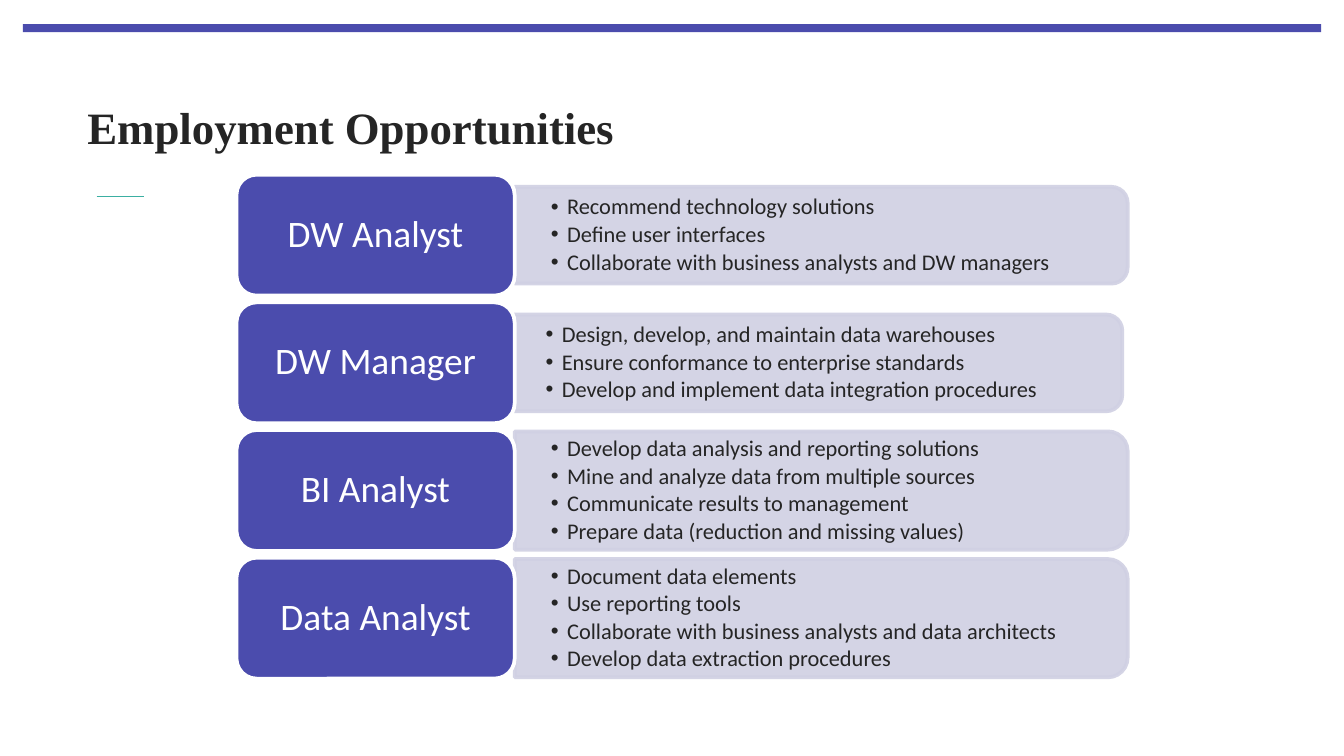
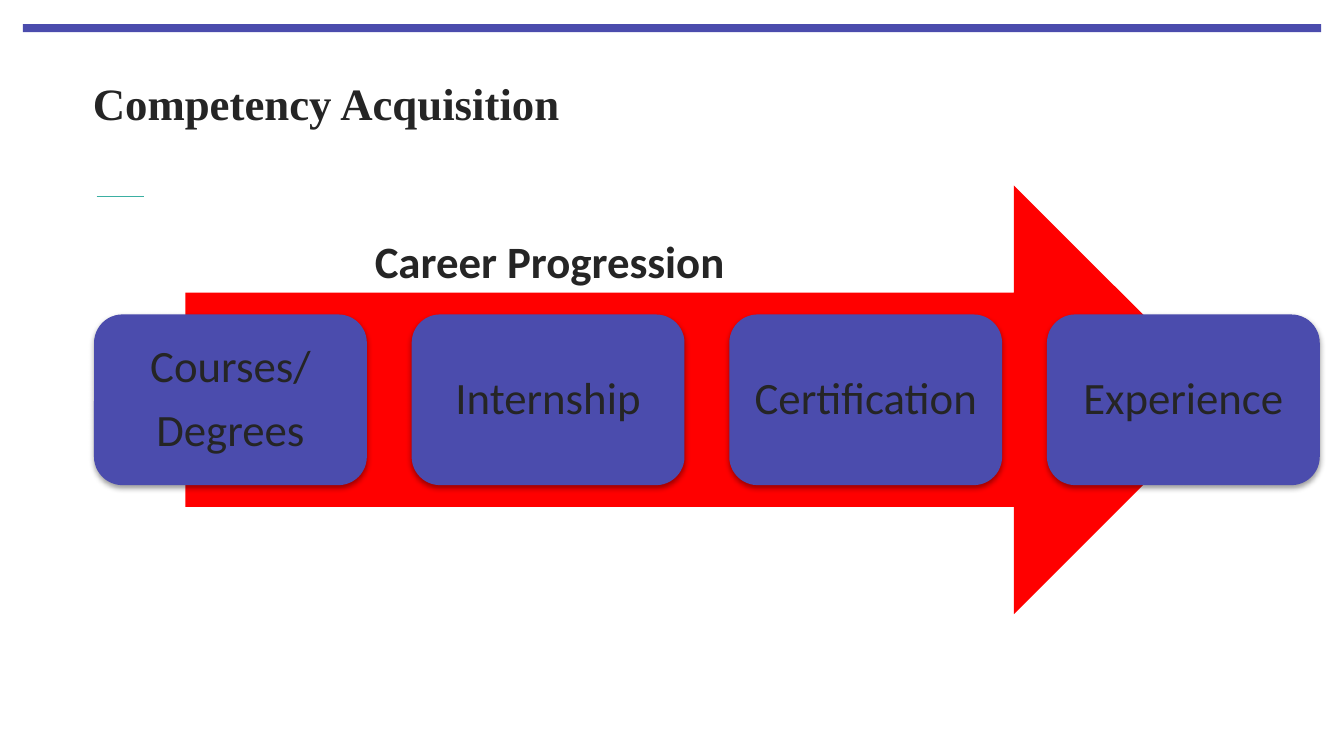
from dataclasses import dataclass

from lxml.etree import SubElement
from pptx import Presentation
from pptx.dml.color import RGBColor
from pptx.enum.shapes import MSO_CONNECTOR, MSO_SHAPE
from pptx.enum.text import MSO_ANCHOR, MSO_AUTO_SIZE, PP_ALIGN
from pptx.oxml.ns import qn
from pptx.shapes.autoshape import Shape
from pptx.slide import Slide
from pptx.text.text import TextFrame
from pptx.util import Emu, Inches, Pt

COLORS = {
    "violet": "4B4CAD",
    "lavender": "D0D0E3",
    "teal": "3BAFA2",
    "red": "FF0000",
    "ink": "252525",
    "white": "FFFFFF",
    "black": "000000",
}
TITLE_FONT = "Times New Roman"
BODY_FONT = "Calibri"

ROW_TOP, ROW_PITCH = 1.3, 0.95
ROLE_LEFT, ROLE_WIDTH, ROLE_HEIGHT = 1.76, 2.07, 0.9
DUTY_WIDTH = 4.56
STAGE_LEFT, STAGE_RIGHT, STAGE_WIDTH = 0.7, 9.82, 2.03


@dataclass(frozen=True)
class Frame:
    """Hold a rectangle in inches."""

    left: float
    top: float
    width: float
    height: float

    def lengths(self) -> tuple[Emu, ...]:
        """Give the rectangle as slide lengths."""
        return tuple(Inches(n) for n in (self.left, self.top, self.width, self.height))


@dataclass(frozen=True)
class TextStyle:
    """Describe how the paragraphs of one box look."""

    size: float
    color: str = "ink"
    font: str = BODY_FONT
    bold: bool = False
    align: PP_ALIGN = PP_ALIGN.LEFT
    spacing: float = 1.0
    after: float = 0
    bullet: bool = False


@dataclass(frozen=True)
class Role:
    """Describe one job with its duties."""

    name: str
    duties: tuple[str, ...]
    panel_left: float = 3.83


TITLE = TextStyle(24, font=TITLE_FONT, bold=True)
LABEL = TextStyle(24, bold=True)
DUTY = TextStyle(12, spacing=0.9, after=1.8, bullet=True)
ROLE = TextStyle(20, color="white", align=PP_ALIGN.CENTER, spacing=0.9)
STAGE = TextStyle(24, align=PP_ALIGN.CENTER, spacing=0.9, after=8.4)

ROLES = (
    Role("DW Analyst", (
        "Recommend technology solutions",
        "Define user interfaces",
        "Collaborate with business analysts and DW managers",
    )),
    Role("DW Manager", (
        "Design, develop, and maintain data warehouses",
        "Ensure conformance to enterprise standards",
        "Develop and implement data integration procedures",
    ), panel_left=3.79),
    Role("BI Analyst", (
        "Develop data analysis and reporting solutions",
        "Mine and analyze data from multiple sources",
        "Communicate results to management",
        "Prepare data (reduction and missing values)",
    )),
    Role("Data Analyst", (
        "Document data elements",
        "Use reporting tools",
        "Collaborate with business analysts and data architects",
        "Develop data extraction procedures",
    )),
)
STAGES = (("Courses/", "Degrees"), ("Internship",), ("Certification",), ("Experience",))


def rgb(name: str) -> RGBColor:
    """Look up a palette colour."""
    return RGBColor.from_string(COLORS[name])


def write(text: TextFrame, lines: tuple[str, ...], style: TextStyle,
          inset: tuple[float, float] = (0, 0)) -> None:
    """Fill a text frame with one styled paragraph per line."""
    text.word_wrap = True
    text.auto_size = MSO_AUTO_SIZE.NONE
    text.vertical_anchor = MSO_ANCHOR.MIDDLE
    text.margin_left = text.margin_right = Inches(inset[0])
    text.margin_top = text.margin_bottom = Inches(inset[1])
    for index, line in enumerate(lines):
        para = text.add_paragraph() if index else text.paragraphs[0]
        para.alignment = style.align
        para.line_spacing = style.spacing
        para.space_after = Pt(style.after)
        if style.bullet:
            properties = para._p.get_or_add_pPr()
            properties.set("marL", str(Inches(0.12)))
            properties.set("indent", str(-Inches(0.12)))
            SubElement(properties, qn("a:buFont"), typeface="Arial")
            SubElement(properties, qn("a:buChar"), char="•")
        span = para.add_run()
        span.text = line
        span.font.name = style.font
        span.font.size = Pt(style.size)
        span.font.bold = style.bold
        span.font.color.rgb = rgb(style.color)


def add_box(page: Slide, kind: MSO_SHAPE, frame: Frame, fill: str,
            line: str | None = None) -> Shape:
    """Draw a flat preset shape with an optional outline."""
    box = page.shapes.add_shape(kind, *frame.lengths())
    box.shadow.inherit = False
    box.fill.solid()
    box.fill.fore_color.rgb = rgb(fill)
    if line:
        box.line.color.rgb = rgb(line)
        box.line.width = Pt(2)
    else:
        box.line.fill.background()
    return box


def add_text(page: Slide, frame: Frame, lines: tuple[str, ...], style: TextStyle,
             inset: tuple[float, float]) -> None:
    """Place a plain text box."""
    write(page.shapes.add_textbox(*frame.lengths()).text_frame, lines, style, inset)


def make_translucent(box: Shape, percent: int) -> None:
    """Set the opacity of a shape's fill and outline."""
    for color in box._element.spPr.iter(qn("a:srgbClr")):
        SubElement(color, qn("a:alpha"), val=str(percent * 1000))


def drop_shadow(box: Shape) -> None:
    """Give a shape a soft shadow below it."""
    effects = box._element.spPr.find(qn("a:effectLst"))
    shadow = SubElement(effects, qn("a:outerShdw"), blurRad=str(Pt(3.1)),
                        dist=str(Pt(1.6)), dir="5400000", rotWithShape="0")
    color = SubElement(shadow, qn("a:srgbClr"), val=COLORS["black"])
    SubElement(color, qn("a:alpha"), val="38000")


def add_page(deck: Presentation, title: str, frame: Frame) -> Slide:
    """Start a slide with the shared band, accent rule and title."""
    page = deck.slides.add_slide(deck.slide_layouts.get_by_name("Title Only"))
    add_box(page, MSO_SHAPE.RECTANGLE, Frame(0.17, 0.18, 9.66, 0.06), "violet")
    rule = page.shapes.add_connector(MSO_CONNECTOR.STRAIGHT, Inches(0.72), Inches(1.46),
                                     Inches(1.07), Inches(1.46))
    rule.line.color.rgb = rgb("teal")
    rule.line.width = Pt(0.5)
    SubElement(rule._element.spPr, qn("a:effectLst"))
    heading = page.shapes.title
    heading.left, heading.top, heading.width, heading.height = frame.lengths()
    write(heading.text_frame, (title,), TITLE)
    return page


def add_role(page: Slide, role: Role, top: float) -> None:
    """Draw a role box with its panel of duties."""
    middle = top + ROLE_HEIGHT / 2
    height = 0.72 if len(role.duties) == 3 else 0.88
    upright = Frame(role.panel_left + (DUTY_WIDTH - height) / 2, middle - DUTY_WIDTH / 2,
                    height, DUTY_WIDTH)
    panel = add_box(page, MSO_SHAPE.ROUND_2_SAME_RECTANGLE, upright, "lavender", "lavender")
    panel.rotation = 90
    make_translucent(panel, 90)
    add_text(page, Frame(role.panel_left, middle - height / 2, DUTY_WIDTH, height),
             role.duties, DUTY, (0.27, 0))
    box = add_box(page, MSO_SHAPE.ROUNDED_RECTANGLE,
                  Frame(ROLE_LEFT, top, ROLE_WIDTH, ROLE_HEIGHT), "violet", "white")
    write(box.text_frame, (role.name,), ROLE, (0.08, 0.04))


def build_employment(deck: Presentation) -> None:
    """Build the slide of jobs and duties."""
    page = add_page(deck, "Employment Opportunities", Frame(0.65, 0.47, 8.71, 0.94))
    for index, role in enumerate(ROLES):
        add_role(page, role, ROW_TOP + index * ROW_PITCH)


def build_competency(deck: Presentation) -> None:
    """Build the slide of career stages along an arrow."""
    page = add_page(deck, "Competency Acquisition", Frame(0.69, 0.48, 6.88, 0.56))
    add_box(page, MSO_SHAPE.RIGHT_ARROW, Frame(1.38, 1.38, 7.76, 3.19), "red")
    pitch = (STAGE_RIGHT - STAGE_LEFT - STAGE_WIDTH) / (len(STAGES) - 1)
    for index, lines in enumerate(STAGES):
        frame = Frame(STAGE_LEFT + index * pitch, 2.34, STAGE_WIDTH, 1.27)
        box = add_box(page, MSO_SHAPE.ROUNDED_RECTANGLE, frame, "violet")
        drop_shadow(box)
        write(box.text_frame, lines, STAGE, (0.1, 0.1))
    add_text(page, Frame(2.69, 1.69, 2.99, 0.5), ("Career Progression",), LABEL, (0.1, 0.05))


def main() -> None:
    """Build and save a widescreen deck."""
    deck = Presentation()
    deck.slide_width = Inches(10)
    deck.slide_height = Emu(deck.slide_width * 9 // 16)
    build_employment(deck)
    build_competency(deck)
    deck.save("out.pptx")


if __name__ == "__main__":
    main()
